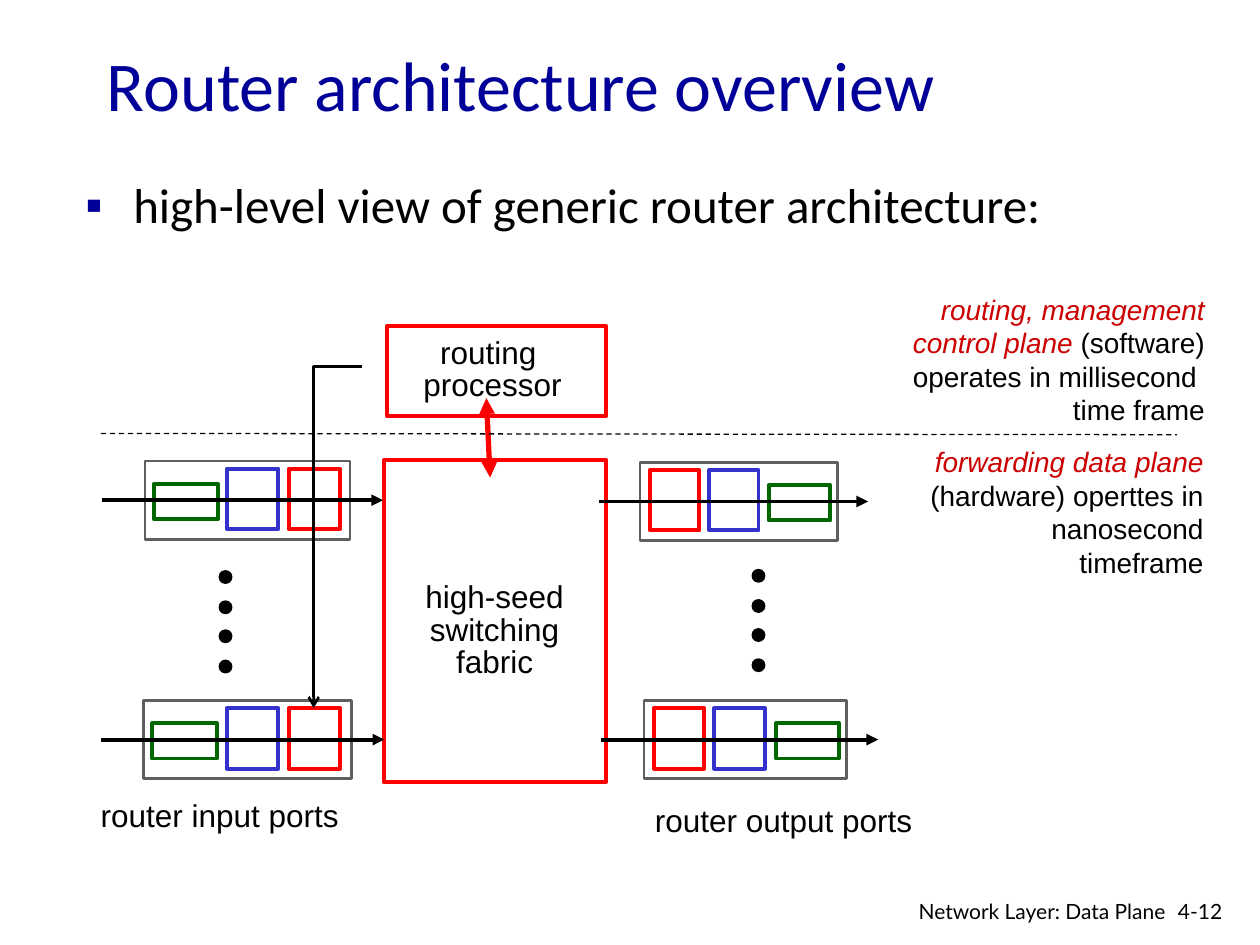
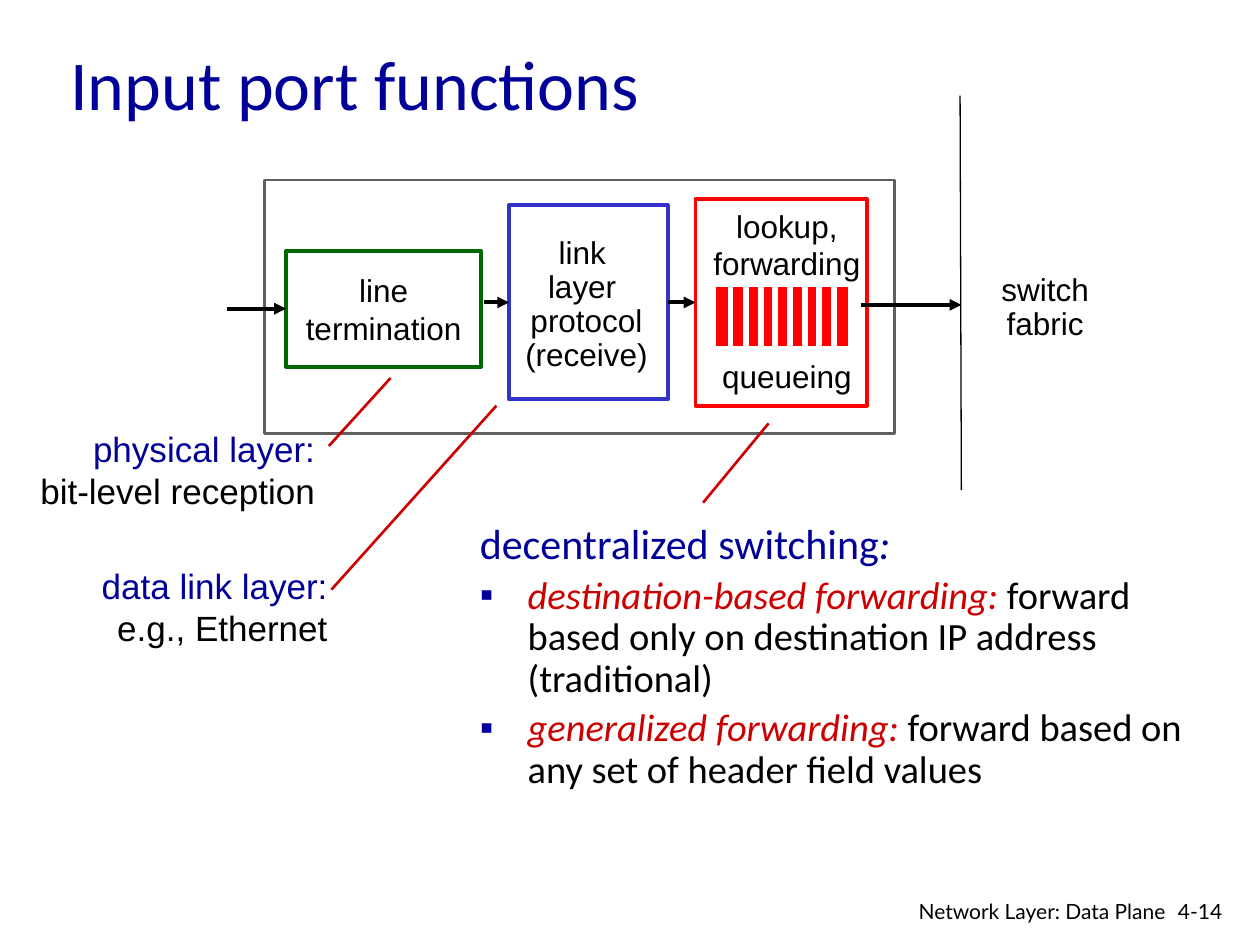
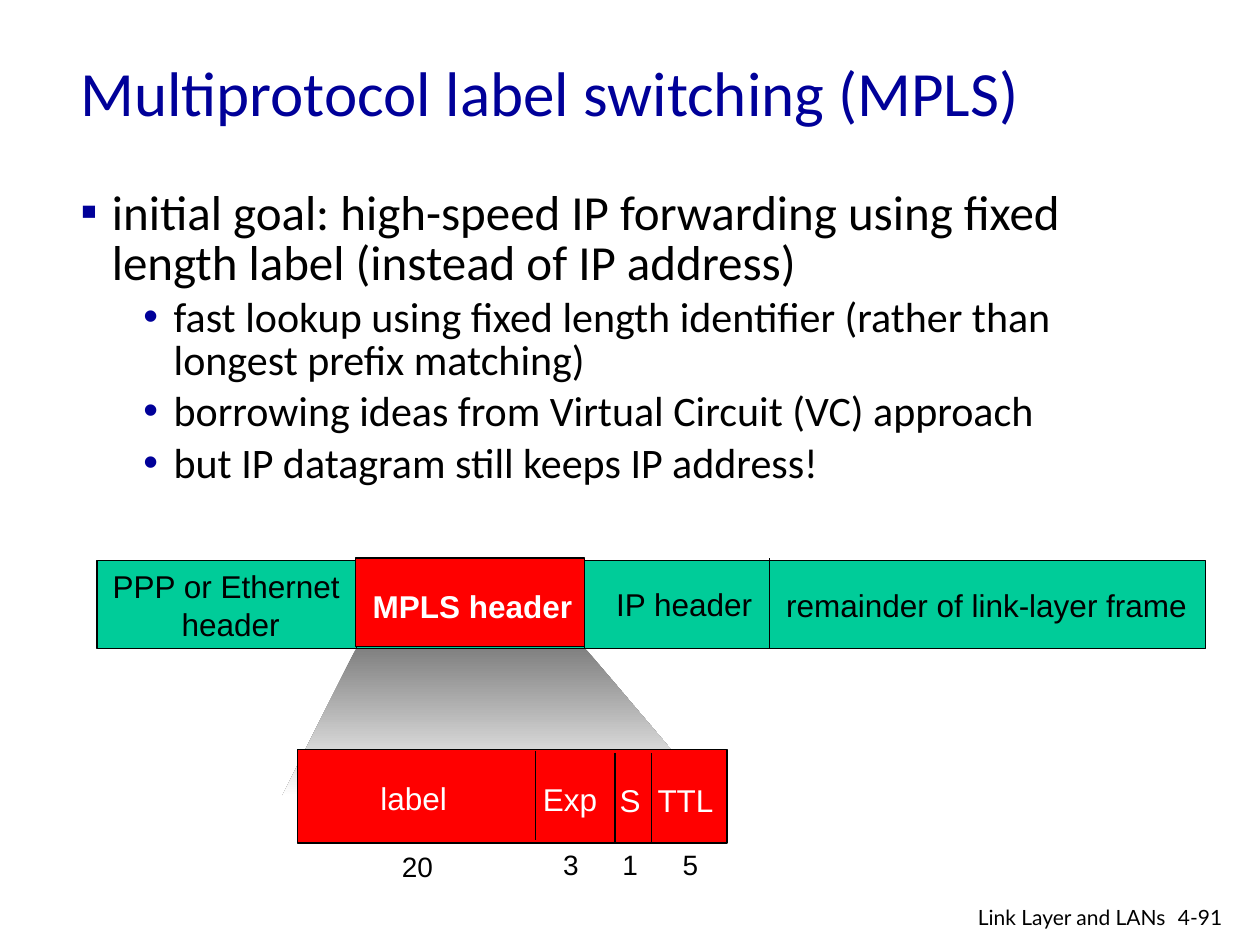
import pptx
import pptx.dml.color
import pptx.enum.dml
import pptx.enum.shapes
import pptx.enum.text
import pptx.oxml.ns
import pptx.util
from lxml import etree

PX = 9144  # EMU in one px, 100 px to the inch

RGB = pptx.dml.color.RGBColor
WHITE = RGB(0xFF, 0xFF, 0xFF)
BLACK = RGB(0, 0, 0)
NAVY = RGB(0x00, 0x00, 0x99)
CRIMSON = RGB(0xCC, 0x00, 0x00)
RED = RGB(0xFF, 0x00, 0x00)
GREEN = RGB(0x00, 0x66, 0x00)
BLUE = RGB(0x33, 0x33, 0xCC)
GRAY = RGB(0x5F, 0x5F, 0x5F)
MID_GRAY = RGB(0x80, 0x80, 0x80)
TEAL = RGB(0x00, 0xCC, 0x99)

RECT = pptx.enum.shapes.MSO_SHAPE.RECTANGLE
OVAL = pptx.enum.shapes.MSO_SHAPE.OVAL
STRAIGHT = pptx.enum.shapes.MSO_CONNECTOR.STRAIGHT
ELBOW = pptx.enum.shapes.MSO_CONNECTOR.ELBOW
LEFT = pptx.enum.text.PP_ALIGN.LEFT
CENTER = pptx.enum.text.PP_ALIGN.CENTER
RIGHT = pptx.enum.text.PP_ALIGN.RIGHT
TOP = pptx.enum.text.MSO_ANCHOR.TOP
MIDDLE = pptx.enum.text.MSO_ANCHOR.MIDDLE
qn = pptx.oxml.ns.qn


def place(slide, frame, paragraphs=(), size=18, font="Arial", color=BLACK, align=LEFT,
          spacing=None, anchor=TOP, wrap=False, fill=None, edge=None, width=0.75, kind=RECT):
    """Add a text box, or a filled shape; a paragraph is a string or a list of (text, color, style)."""
    emu = [n * PX for n in frame]
    if fill is None:
        part = slide.shapes.add_textbox(*emu)
    else:
        part = slide.shapes.add_shape(kind, *emu)
        part.shadow.inherit = False
        part.fill.solid()
        part.fill.fore_color.rgb = fill
        part.line.color.rgb = edge
        part.line.width = pptx.util.Pt(width)
    text = part.text_frame
    text.word_wrap = wrap
    text.vertical_anchor = anchor
    if fill is None and anchor == TOP and not wrap:
        text.auto_size = pptx.enum.text.MSO_AUTO_SIZE.SHAPE_TO_FIT_TEXT
    for i, runs in enumerate(paragraphs):
        paragraph = text.paragraphs[0] if i == 0 else text.add_paragraph()
        paragraph.alignment = align
        paragraph.line_spacing = spacing
        for words, run_color, style in [(runs, color, "")] if isinstance(runs, str) else runs:
            run = paragraph.add_run()
            run.text = words
            run.font.size = pptx.util.Pt(size)
            run.font.name = font
            run.font.color.rgb = run_color
            run.font.bold = style == "b"
            run.font.italic = style == "i"
    return part


def draw_line(slide, x1, y1, x2, y2, color=BLACK, width=0.75, head=None, tail=None,
              dash=None, kind=STRAIGHT):
    line = slide.shapes.add_connector(kind, x1 * PX, y1 * PX, x2 * PX, y2 * PX)
    line.line.color.rgb = color
    line.line.width = pptx.util.Pt(width)
    if dash:
        line.line.dash_style = dash
    properties = line._element.spPr
    for tag, arrow in (("a:headEnd", head), ("a:tailEnd", tail)):
        if arrow:
            etree.SubElement(properties.find(qn("a:ln")), qn(tag), type=arrow)
    etree.SubElement(properties, qn("a:effectLst"))
    return line


deck = pptx.Presentation()
deck.slide_width = 1000 * PX
deck.slide_height = 750 * PX

# Titles and footers
slides = []
for title, title_size, title_frame, chapter, page, footer_y in (
    ("Router architecture overview", 40, (75, 33, 850, 67), "Network Layer: Data Plane", "4-12", 708),
    ("Input port functions", 40, (46, 32, 850, 67), "Network Layer: Data Plane", "4-14", 708),
    ("Multiprotocol label switching (MPLS)", 36, (54, 21, 850, 103), "Link Layer and LANs", "4-91", 713),
):
    slide = deck.slides.add_slide(deck.slide_layouts[6])
    place(slide, title_frame, [title], title_size, "Calibri", NAVY, anchor=MIDDLE, wrap=True)
    place(slide, (925, footer_y, 61, 30), [page], 12, "Lato", wrap=True)
    place(slide, (697, footer_y, 238, 26), [chapter], 12, "Lato", align=RIGHT, wrap=True)
    slides.append(slide)
overview, input_port, mpls = slides

# Body text: each paragraph has a size, left margin, hanging indent, bullet and runs
for slide, frame, spacing, items in (
    (overview, (58, 141, 850, 64), 0.85, [
        (28, 38, 38, "▪", [("high-level view of generic router architecture:", BLACK, "")]),
    ]),
    (input_port, (371, 410, 597, 292), 0.9, [
        (24, 38, 38, None, [("decentralized switching", NAVY, ""), (":", NAVY, "i")]),
        (22, 38, 38, "▪", [("destination-based forwarding: ", CRIMSON, "i"),
                           ("forward based only on destination IP address (traditional)", BLACK, "")]),
        (22, 38, 38, "▪", [("generalized forwarding: ", CRIMSON, "i"),
                           ("forward based on any set of header field values", BLACK, "")]),
    ]),
    (mpls, (54, 146, 850, 508), 0.85, [
        (28, 25, 25, "▪", [("initial goal: high-speed IP forwarding using fixed length label "
                            "(instead of IP address)", BLACK, "")]),
        (24, 74, 24, "•", [("fast lookup using fixed length identifier "
                            "(rather than longest prefix matching)", BLACK, "")]),
        (24, 74, 24, "•", [("borrowing ideas from Virtual Circuit (VC) approach", BLACK, "")]),
        (24, 74, 24, "•", [("but IP datagram still keeps IP address!", BLACK, "")]),
    ]),
):
    body = place(slide, frame, [item[-1] for item in items], font="Calibri", spacing=spacing, wrap=True)
    for paragraph, (size, margin, hang, bullet, _) in zip(body.text_frame.paragraphs, items):
        paragraph.space_before = pptx.util.Pt(size * 0.2)
        for run in paragraph.runs:
            run.font.size = pptx.util.Pt(size)
        properties = paragraph._p.get_or_add_pPr()
        properties.set("marL", str(margin * PX))
        properties.set("indent", str(-hang * PX))
        if bullet:
            bullet_color = etree.SubElement(properties, qn("a:buClr"))
            etree.SubElement(bullet_color, qn("a:srgbClr"), val=str(NAVY))
            etree.SubElement(properties, qn("a:buFont"), typeface="Arial")
            etree.SubElement(properties, qn("a:buChar"), char=bullet)

# Slide 1: switching fabric and routing processor
place(overview, (305, 365, 176, 256), fill=WHITE, edge=RED, width=2.25)
place(overview, (325, 458, 135, 88), ["high-seed ", "switching", "fabric"], align=CENTER, spacing=0.85)
place(overview, (307, 259, 174, 71), fill=WHITE, edge=RED, width=2.25)
place(overview, (326, 264, 130, 61), ["routing ", "processor"], align=CENTER, spacing=0.85)
draw_line(overview, 386, 316, 389, 379, RED, 3, head="triangle", tail="triangle")

# Slide 1: ports; stages are shares of the port width, and output ports mirror them
stages = [(0.04, 0.31, 18, 28, GREEN), (0.4, 0.25, 6, 48, BLUE), (0.7, 0.25, 6, 48, RED)]
for x, y, w, mirrored, start, end in (
    (115, 366, 163, False, 81, 304),
    (114, 556, 165, False, 80, 305),
    (508, 367, 157, True, 475, 689),
    (511, 556, 161, True, 477, 697),
):
    place(overview, (x, y, w, 62), fill=WHITE, edge=GRAY, width=1.5)
    for offset, share, stage_y, stage_h, stage_color in stages:
        left = 1 - offset - share if mirrored else offset
        place(overview, (x + round(w * left), y + stage_y, round(w * share), stage_h),
              fill=WHITE, edge=stage_color, width=2.25)
    draw_line(overview, start, y + 31, end, y + 31, width=2.25, tail="triangle")

# Slide 1: dots between the ports
for x, y in ((174, 453), (597, 452)):
    for i in range(4):
        place(overview, (x, y + round(i * 23.67), 10, 10), fill=BLACK, edge=BLACK, kind=OVAL)

# Slide 1: labels and the border between the planes
place(overview, (70, 627, 209, 40), ["router input ports"])
place(overview, (510, 631, 224, 40), ["router output ports"])
draw_line(overview, 80, 344, 934, 345, dash=pptx.enum.dml.MSO_LINE.DASH)
place(overview, (726, 348, 239, 118),
      [[("forwarding data plane ", CRIMSON, "i"),
        ("(hardware) operttes in nanosecond timeframe", BLACK, "")]],
      16, align=RIGHT, wrap=True)
place(overview, (651, 227, 315, 118),
      [[("routing, management", CRIMSON, "i")],
       [("control plane ", CRIMSON, "i"), ("(software)", BLACK, "")],
       "operates in millisecond ", "time frame"],
      16, align=RIGHT, wrap=True)
table_update = draw_line(overview, 287, 291, 249, 562, width=1.5, tail="arrow", kind=ELBOW)
table_update._element.spPr.find(qn("a:prstGeom")).set("prst", "bentConnector2")

# Slide 2: stages of the input port
place(input_port, (210, 143, 500, 201), fill=WHITE, edge=GRAY, width=1.5)
termination = place(input_port, (227, 199, 155, 92), ["line", "termination"], align=CENTER,
                    anchor=MIDDLE, fill=WHITE, edge=GREEN, width=2.25)
link_layer = place(input_port, (404, 163, 126, 154), fill=WHITE, edge=BLUE, width=2.25)
lookup = place(input_port, (552, 158, 136, 164), fill=WHITE, edge=RED, width=2.25)
place(input_port, (400, 197, 131, 91), ["link ", "layer ", "protocol", "(receive)"],
      align=CENTER, spacing=0.9, anchor=MIDDLE)
lookup_label = place(input_port, (556, 159, 137, 160), ["lookup,", "forwarding", "queueing"], align=CENTER)
lookup_label.text_frame.paragraphs[2].space_before = pptx.util.Pt(43)

# Slide 2: flow through the stages to the fabric
for start, end, y, source, target in (
    (180, 227, 245, None, termination),
    (384, 404, 240, None, link_layer),
    (530, 552, 240, link_layer, lookup),
    (683, 763, 242, None, None),
):
    flow = draw_line(input_port, start, y, end, y, width=2.25, tail="triangle")
    if source:
        flow.begin_connect(source, 3)
    if target:
        flow.end_connect(target, 1)
draw_line(input_port, 762, 76, 763, 389)
place(input_port, (772, 199, 115, 91), ["switch", "fabric"], align=CENTER, spacing=0.9, anchor=MIDDLE)

# Slide 2: queue
place(input_port, (566, 226, 109, 51), fill=RED, edge=WHITE, width=3)
for i in range(8):
    slot_x = 580 + round(i * 11.75)
    draw_line(input_port, slot_x, 227, slot_x, 276, WHITE, 3)

# Slide 2: layer notes and their pointers
for frame, layer, duty in (
    ((22, 334, 238, 77), "physical layer:", "bit-level reception"),
    ((69, 443, 201, 77), "data link layer:", "e.g., Ethernet"),
):
    place(input_port, frame, [[(layer, NAVY, "")], duty], 20, align=RIGHT)
for pointer in ((261, 354, 310, 300), (263, 468, 394, 322), (558, 399, 610, 336)):
    draw_line(input_port, *pointer, CRIMSON, 1.5)

# Slide 3: zoom from the MPLS header to its fields
outline = mpls.shapes.build_freeform(283, 514, scale=PX)
outline.add_line_segments([(224, 632), (564, 632), (464, 514)])
zoom = outline.convert_to_shape()
zoom.shadow.inherit = False
zoom.line.fill.background()
zoom.fill.gradient()
zoom.fill.gradient_angle = 270
for stop, shade in zip(zoom.fill.gradient_stops, (MID_GRAY, WHITE)):
    stop.color.rgb = shade

# Slide 3: link-layer frame
place(mpls, (77, 445, 880, 70), fill=TEAL, edge=BLACK)
for x in (283, 464, 611):
    draw_line(mpls, x, 443, x, 515)
place(mpls, (79, 445, 208, 70), ["PPP or Ethernet ", "header"], align=CENTER)
place(mpls, (479, 459, 128, 40), ["IP header"], align=CENTER)
place(mpls, (614, 460, 338, 40), ["remainder of link-layer frame"])
place(mpls, (282, 443, 182, 70), fill=RED, edge=BLACK)
place(mpls, (280, 461, 190, 40), [[("MPLS header", WHITE, "b")]], align=CENTER)

# Slide 3: MPLS fields with their lengths in bits
place(mpls, (236, 595, 341, 74), fill=RED, edge=BLACK)
for field, x, y, w, bits, bits_x, bits_y, bits_w in (
    ("label", 292, 613, 73, "20", 309, 669, 45),
    ("Exp", 421, 614, 63, "3", 437, 668, 32),
    ("S", 482, 615, 37, "1", 484, 668, 32),
    ("TTL", 512, 615, 65, "5", 532, 668, 32),
):
    place(mpls, (x, y, w, 40), [field], color=WHITE)
    place(mpls, (bits_x, bits_y, bits_w, 37), [bits], 16)
for x, y in ((425, 596), (488, 598), (517, 598)):
    draw_line(mpls, x, y, x, y + 71)

deck.save("out.pptx")
